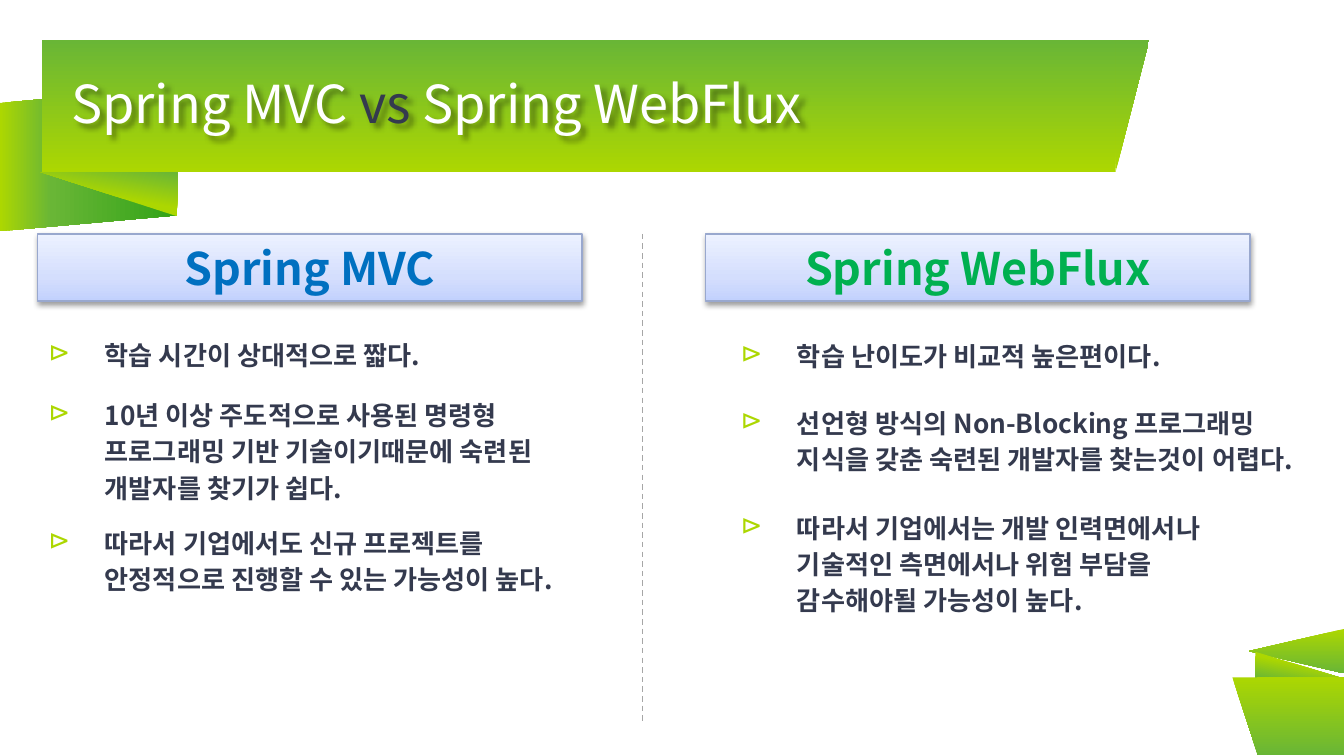
from lxml.etree import SubElement as Sub
from pptx import Presentation
from pptx.dml.color import RGBColor
from pptx.enum.dml import MSO_LINE as Dash
from pptx.enum.shapes import MSO_CONNECTOR as Link, MSO_SHAPE as Kind
from pptx.enum.text import MSO_ANCHOR as Anchor, PP_ALIGN as Align
from pptx.oxml.ns import qn
from pptx.util import Inches, Pt

hue = RGBColor.from_string
FACE = "Noto Sans CJK KR"
LIME, GREEN, INK, WHITE = "ACD701", "69B636", "343A4E", "FFFFFF"


def paint(shape, stops, angle):
    shape.shadow.inherit = False
    shape.fill.gradient()
    shape.fill.gradient_angle = (360 - angle) % 360
    grad = shape._element.spPr.find(qn("a:gradFill"))
    rows = grad.find(qn("a:gsLst"))
    rows.clear()
    for pos, tone in stops:
        stop = Sub(rows, qn("a:gs"), pos=str(pos * 1000))
        Sub(stop, qn("a:srgbClr"), val=tone)


def write(para, text, tone, **form):
    run = para.add_run()
    run.text = text
    for key, value in {"name": FACE, **form}.items():
        setattr(run.font, key, value)
    run.font.color.rgb = hue(tone)
    Sub(run._r.rPr, qn("a:ea"), typeface=FACE)
    return run


deck = Presentation()
deck.slide_width, deck.slide_height = Inches(10), Inches(10) * 9 // 16
slide = deck.slides.add_slide(deck.slide_layouts[6])
shapes = slide.shapes

band = [(0, LIME), (100, GREEN)]
fold = [(0, LIME), (47, LIME), (100, GREEN)]
tail = [(0, LIME), (29, GREEN), (100, "32A318")]
ribbon = [
    (Kind.PARALLELOGRAM, (0.12, 0.53, 1.07, 1.31), 270, True, 0.109, tail, 90),
    (Kind.RIGHT_TRIANGLE, (0.3, 1.28, 1.02, 0.33), 180, False, None, fold, 100),
    (Kind.RECTANGLE, (0.31, 0.3, 7.99, 0.98), 180, True, None, band, 90),
    (Kind.ISOSCELES_TRIANGLE, (8.3, 0.3, 0.25, 0.98), 180, False, 1, band, 90),
    (Kind.ISOSCELES_TRIANGLE, (9.48, 4.49, 0.33, 0.71), 270, False, 0.5, band, 180),
    (Kind.RIGHT_TRIANGLE, (9.34, 4.85, 0.66, 0.2), 0, False, None, fold, 100),
    (Kind.RECTANGLE, (9.35, 5.04, 0.65, 0.58), 180, False, None, band, 270),
    (Kind.ISOSCELES_TRIANGLE, (9.17, 5.04, 0.19, 0.58), 180, True, 1, band, 270),
]
for kind, place, turn, flip, bend, stops, angle in ribbon:
    part = shapes.add_shape(kind, *map(Inches, place))
    part.rotation = turn
    if flip:
        part._element.spPr.find(qn("a:xfrm")).set("flipH", "1")
    if bend is not None:
        part.adjustments[0] = bend
    paint(part, stops, angle)
    part.line.fill.background()

flush = {"word_wrap": True, "margin_left": 0, "margin_right": 0,
         "margin_top": 0, "margin_bottom": 0}
title = shapes.add_textbox(*map(Inches, (0.53, 0.3, 7.92, 0.98)))
for key, value in {**flush, "vertical_anchor": Anchor.MIDDLE}.items():
    setattr(title.text_frame, key, value)
glow = Sub(title._element.spPr, qn("a:effectLst"))
shade = Sub(glow, qn("a:outerShdw"), blurRad=str(Pt(3)), dist=str(Pt(3)), dir="2700000")
tint = Sub(shade, qn("a:srgbClr"), val="000000")
Sub(tint, qn("a:alpha"), val="40000")
para = title.text_frame.paragraphs[0]
para.line_spacing = 0.9
for text, tone in [("Spring MVC ", WHITE), ("vs ", INK), ("Spring WebFlux", WHITE)]:
    write(para, text, tone, size=Pt(28))

rule = shapes.add_connector(Link.STRAIGHT, *map(Inches, (4.78, 1.74, 4.78, 5.37)))
rule.line.color.rgb = hue("A6A6A6")
rule.line.width = Pt(0.75)
rule.line.dash_style = Dash.DASH
Sub(rule._element.spPr, qn("a:effectLst"))

sides = [
    (0.28, 0.28, "Spring MVC", "0070C0", [
        (2.49, 4.05, 0.51, "학습 시간이 상대적으로 짧다."),
        (2.94, 4.05, 0.51, "10년 이상 주도적으로 사용된 명령형 프로그래밍 기반 기술이기때문에 숙련된 개발자를 찾기가 쉽다."),
        (3.89, 4.05, 1.11, "따라서 기업에서도 신규 프로젝트를 안정적으로 진행할 수 있는 가능성이 높다."),
    ]),
    (5.25, 5.43, "Spring WebFlux", "00B050", [
        (2.5, 4.05, 0.51, "학습 난이도가 비교적 높은편이다."),
        (3, 4.28, 0.64, "선언형 방식의 Non-Blocking 프로그래밍 지식을 갖춘 숙련된 개발자를 찾는것이 어렵다."),
        (3.78, 4.05, 0.72, "따라서 기업에서는 개발 인력면에서나 기술적인 측면에서나 위험 부담을 감수해야될 가능성이 높다."),
    ]),
]
for edge, left, name, tone, points in sides:
    head = shapes.add_shape(Kind.RECTANGLE, *map(Inches, (edge, 1.74, 4.05, 0.5)))
    paint(head, [(0, "C2D1FD"), (35, "D4DEFD"), (100, "EDF2FF")], 270)
    head.line.color.rgb = hue("99A8CE")
    head.line.width = Pt(0.75)
    cast = Sub(head._element.spPr.find(qn("a:effectLst")), qn("a:outerShdw"),
               blurRad=str(Pt(3.1)), dist=str(Pt(1.6)), dir="5400000", rotWithShape="0")
    tint = Sub(cast, qn("a:srgbClr"), val="000000")
    Sub(tint, qn("a:alpha"), val="38000")
    para = head.text_frame.paragraphs[0]
    para.alignment = Align.CENTER
    write(para, name, tone, size=Pt(24), bold=True)

    for top, width, height, text in points:
        box = shapes.add_textbox(*map(Inches, (left, top, width, height)))
        for key, value in flush.items():
            setattr(box.text_frame, key, value)
        para = box.text_frame.paragraphs[0]
        para.line_spacing = 1.15
        prop = para._p.get_or_add_pPr()
        prop.set("marL", str(Inches(0.5)))
        prop.set("indent", str(Inches(-0.42)))
        Sub(Sub(prop, qn("a:buClr")), qn("a:srgbClr"), val=LIME)
        Sub(prop, qn("a:buChar"), char="⊳")
        run = write(para, text, INK, size=Pt(14), bold=True)
        run._r.rPr.set("kern", "0")

deck.save("out.pptx")
